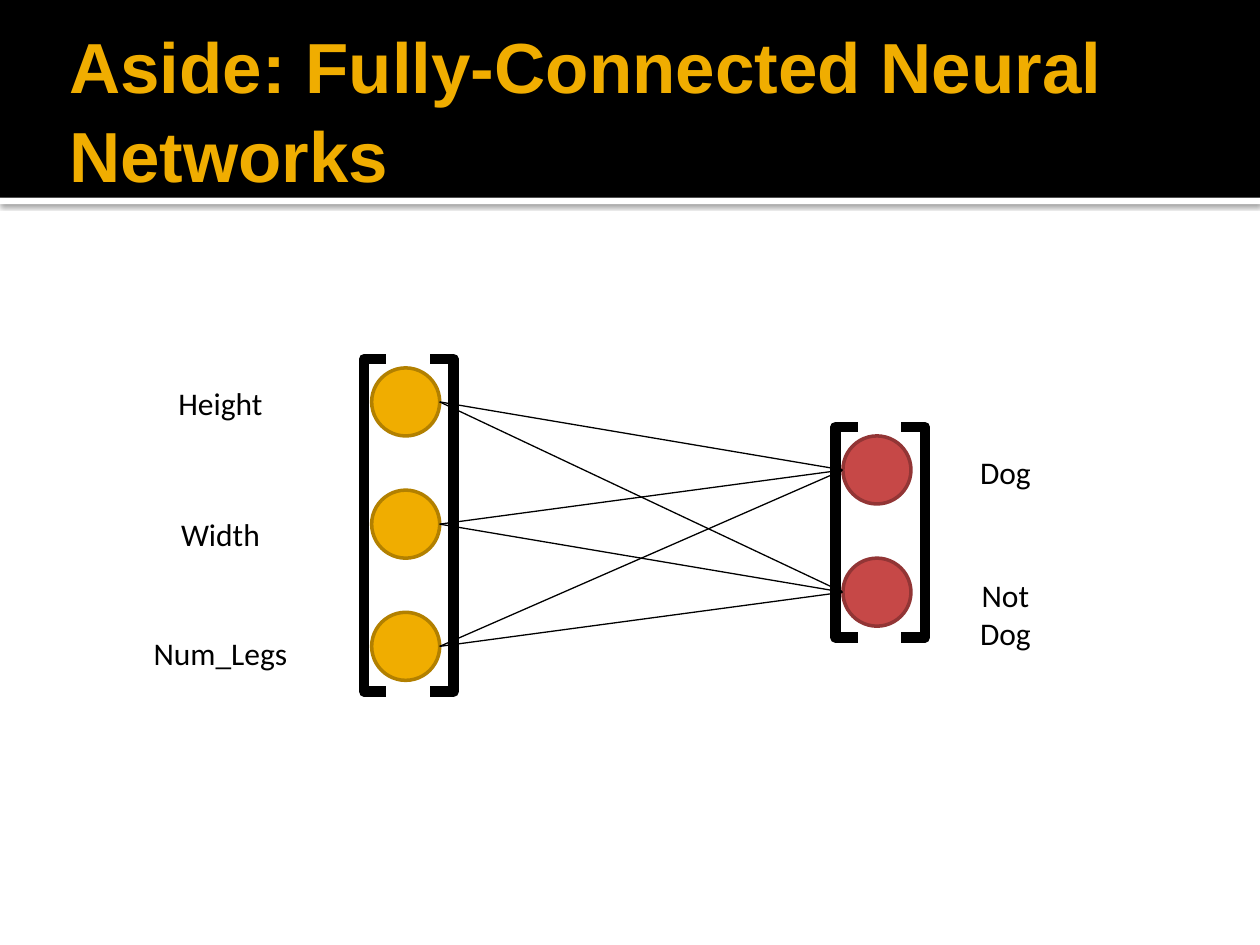
"""Build a slide on fully-connected neural networks."""
from dataclasses import dataclass
from itertools import product

from lxml import etree
from pptx import Presentation
from pptx import util as u
from pptx.dml.color import RGBColor
from pptx.enum import shapes, text
from pptx.oxml import parse_xml
from pptx.oxml.ns import nsdecls, qn


@dataclass(frozen=True)
class Theme:
    """Hold the colours, fonts and type sizes."""
    black: str = "000000"
    white: str = "FFFFFF"
    gold: str = "F0AD00"
    bronze: str = "B28000"
    red: str = "C64847"
    wine: str = "923535"
    head: str = "Arial"
    body: str = "Calibri"
    big: float = 40.5
    small: float = 18


T = Theme()
WIDE, HIGH = u.Inches(10), u.Inches(7.5)
COLS, ROWS = 10, 7.5
DOT, STEP = 0.54, 0.97
LEFT, RIGHT = 2.95, 6.69


def grid(x, y, w, h):
    """Turn columns and rows into slide lengths."""
    cols, rows = WIDE / COLS, HIGH / ROWS
    return [round(n) for n in (x * cols, y * rows, w * cols, h * rows)]


def shape(slide, kind, box, fill=None, line=None, width=2):
    """Add a preset shape without a shadow."""
    item = slide.shapes.add_shape(kind, *grid(*box))
    item.shadow.inherit = False
    if fill:
        item.fill.solid()
        item.fill.fore_color.rgb = RGBColor.from_string(fill)
    else:
        item.fill.background()
    if line:
        item.line.color.rgb = RGBColor.from_string(line)
        item.line.width = u.Pt(width)
    else:
        item.line.fill.background()
    return item


def style(frame, font, size, color, bold=False):
    """Format every run in a text frame."""
    for para in frame.paragraphs:
        for run in para.runs:
            run.font.name, run.font.size = font, u.Pt(size)
            run.font.bold = bold
            run.font.color.rgb = RGBColor.from_string(color)


def header(slide, words):
    """Add the black band, its shaded rule and the title."""
    rect = shapes.MSO_SHAPE.RECTANGLE
    rule = shape(slide, rect, (0, 1.57, COLS, 0.05), T.white)
    glow = parse_xml(
        f'<a:outerShdw {nsdecls("a")} blurRad="{u.Pt(3)}" dist="{u.Pt(0.8)}" '
        f'dir="5400000" algn="tl" rotWithShape="0"><a:srgbClr val="{T.black}">'
        '<a:alpha val="60000"/></a:srgbClr></a:outerShdw>')
    rule.element.spPr.find(qn("a:effectLst")).append(glow)
    shape(slide, rect, (0, 0, COLS, 1.57), T.black)
    title = slide.shapes.title
    title.element.getparent().append(title.element)
    title.left, title.top, title.width, title.height = grid(0.5, 0.17, 9, 1.37)
    frame = title.text_frame
    frame.text = words
    frame.word_wrap = True
    frame.auto_size = text.MSO_AUTO_SIZE.NONE
    frame.vertical_anchor = text.MSO_ANCHOR.MIDDLE
    frame.margin_left = frame.margin_right = u.Inches(0.05)
    frame.margin_top = frame.margin_bottom = u.Inches(0.05)
    frame.paragraphs[0].alignment = text.PP_ALIGN.LEFT
    frame.paragraphs[0].line_spacing = 1.04
    style(frame, T.head, T.big, T.gold, True)


def layer(slide, x, y, count, fill, line):
    """Add a bracketed column of nodes and return their middles."""
    tall = (count - 1) * STEP + DOT
    rect = shapes.MSO_SHAPE.RECTANGLE
    shape(slide, rect, (x - 0.06, y - 0.07, 0.71, tall + 0.16),
          line=T.black, width=6)
    shape(slide, rect, (x + 0.13, y - 0.28, 0.32, tall + 0.68),
          T.white, T.white)
    tops = [y + n * STEP for n in range(count)]
    for top in tops:
        shape(slide, shapes.MSO_SHAPE.OVAL, (x, top, DOT, DOT), fill, line)
    return [top + DOT / 2 for top in tops]


def label(slide, words, mid, top, wide=1, high=0.4):
    """Add a centred label around a middle column."""
    box = slide.shapes.add_textbox(*grid(mid - wide / 2, top, wide, high))
    frame = box.text_frame
    frame.text = words
    frame.word_wrap = True
    frame.auto_size = text.MSO_AUTO_SIZE.SHAPE_TO_FIT_TEXT
    frame.paragraphs[0].alignment = text.PP_ALIGN.CENTER
    style(frame, T.body, T.small, T.black)


def arrow(slide, x, y, far, low):
    """Add a thin arrow between two points."""
    item = slide.shapes.add_connector(
        shapes.MSO_CONNECTOR.STRAIGHT, *grid(x, y, far, low))
    item.line.color.rgb = RGBColor.from_string(T.black)
    item.line.width = u.Pt(0.75)
    props = item.element.spPr
    etree.SubElement(props.find(qn("a:ln")), qn("a:tailEnd"), type="triangle")
    etree.SubElement(props, qn("a:effectLst"))


def main():
    """Build and save the slide."""
    deck = Presentation()
    deck.slide_width, deck.slide_height = WIDE, HIGH
    slide = deck.slides.add_slide(deck.slide_layouts[5])
    header(slide, "Aside: Fully-Connected Neural Networks")
    ins = layer(slide, LEFT, 2.92, 3, T.gold, T.bronze)
    outs = layer(slide, RIGHT, 3.46, 2, T.red, T.wine)
    for words, top, wide in (("Height", 3, 1), ("Width", 4.04, 1),
                             ("Num_Legs", 4.98, 1.57)):
        label(slide, words, 1.75, top, wide)
    for start, end in product(ins, outs):
        arrow(slide, LEFT + DOT, start, RIGHT, end)
    label(slide, "Dog", 7.98, 3.55)
    label(slide, "Not Dog", 7.98, 4.52, high=0.71)
    deck.save("out.pptx")


if __name__ == "__main__":
    main()
